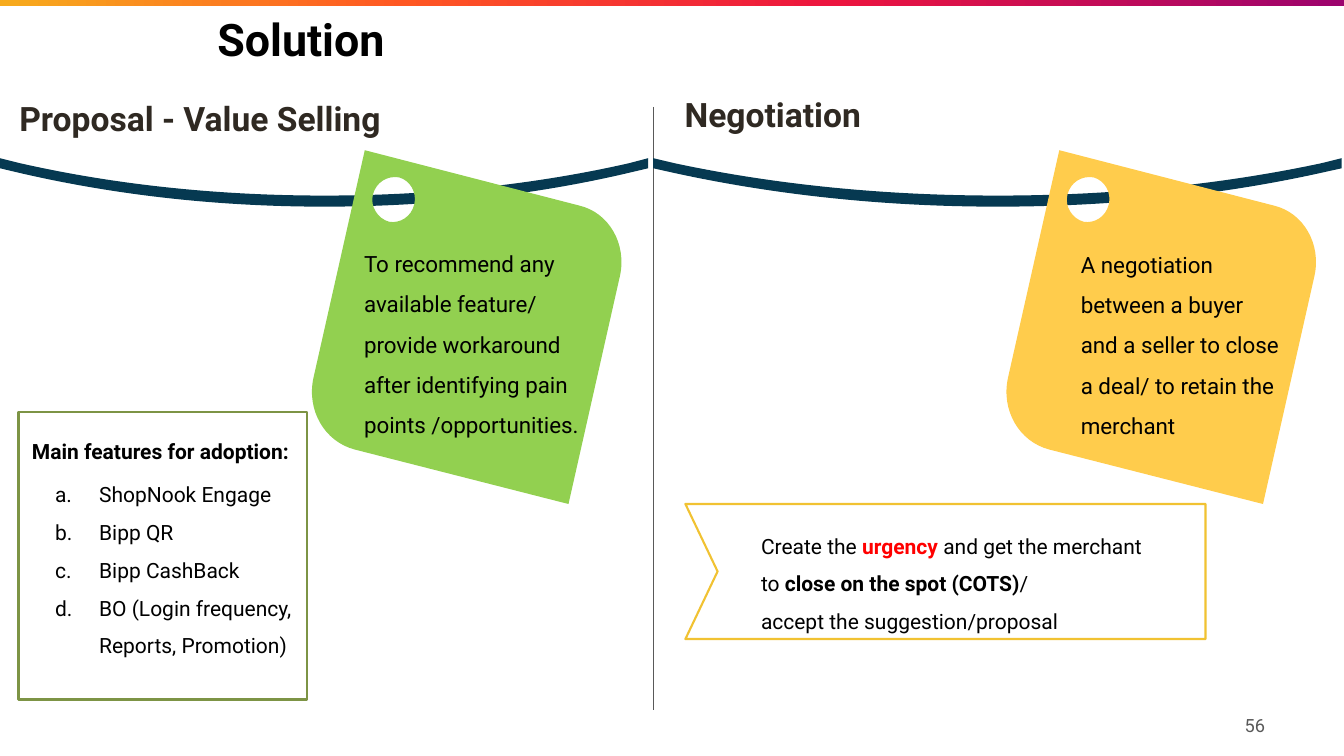
"""Builds the Solution slide on value selling and negotiation."""
from copy import deepcopy
from lxml import etree
from pptx import Presentation
from pptx.dml.color import RGBColor
from pptx.enum import shapes, text
from pptx.oxml.ns import qn
from pptx.util import Pt

BLACK = RGBColor(0, 0, 0)
BROWN = RGBColor(0x2F, 0x29, 0x22)
GRAY = RGBColor(0x59, 0x59, 0x59)
RED = RGBColor(0xFF, 0, 0)
NAVY = RGBColor(0x06, 0x39, 0x51)
GREEN = RGBColor(0x92, 0xD0, 0x50)
OLIVE = RGBColor(0x7D, 0x94, 0x45)
YELLOW = RGBColor(0xFF, 0xCC, 0x4C)
GOLD = RGBColor(0xF1, 0xC2, 0x32)
BAR = [(0, RGBColor(0xF7, 0xAB, 0x1D)), (0.3, RGBColor(0xFF, 0x57, 0x22)),
       (0.62, RGBColor(0xEC, 0x15, 0x3F)), (1, RGBColor(0x9C, 0x03, 0x6D))]
TOP, MID = text.MSO_ANCHOR.TOP, text.MSO_ANCHOR.MIDDLE

ROPE = [(0, 113), (14.4, 116.6), (81.4, 131.8, 154.8, 139.7, 231.8, 139.7),
        (308.9, 139.7, 382.3, 131.8, 449.3, 116.6), (463, 113), (463, 120.2),
        (450.7, 123.1), (383.8, 139, 309.6, 147.6, 231.8, 147.6),
        (154, 147.6, 80, 139, 12.2, 123.1), (0, 120.2)]
TAG = [(260.6, 107.3), (223.9, 270), (218.9, 293, 231.8, 315.4, 253.4, 321.1),
       (406.1, 360), (442.8, 197.3), (448, 174.2, 434.9, 151.9, 414, 146.9)]
HOLE = [(266.4, 139), (268.6, 130.3, 276.5, 125.3, 285.1, 126.7),
        (293, 128.9, 298.1, 137.5, 295.9, 146.2),
        (293.8, 154.8, 285.8, 159.8, 277.9, 158.4),
        (270, 156.2, 264.2, 147.6, 266.4, 139)]
BANNER = [(489.6, 456.5), (861.1, 456.5), (861.1, 360), (489.6, 360), (512.6, 408.2)]

deck = Presentation()
deck.slide_width, deck.slide_height = Pt(960), Pt(540)
slide = deck.slides.add_slide(deck.slide_layouts[5])
items = slide.shapes


def draw(paths, left=0, zoom=1):
    """Draw closed outlines of points and cubic curves as one shape."""
    unit = Pt(1) / 100
    pen, steps = None, []
    for path in paths:
        path = [[round(100 * (v if k % 2 else left + v * zoom)) for k, v in enumerate(step)]
                for step in path]
        steps += path
        if pen is None:
            pen = items.build_freeform(*path[0], scale=unit)
        else:
            pen.move_to(*path[0])
        pen.add_line_segments([step[-2:] for step in path[1:]], close=True)
    shape = pen.convert_to_shape()
    shape.shadow.inherit = False
    x0, y0 = round(shape.left / unit), round(shape.top / unit)
    nodes = [n for n in shape._element.spPr.find(".//" + qn("a:path")) if len(n)]
    for node, step in zip(nodes, steps):
        if len(step) == 6:
            node.tag = qn("a:cubicBezTo")
            for k in (0, 2):
                dot = etree.Element(qn("a:pt"), x=str(step[k] - x0), y=str(step[k + 1] - y0))
                node.insert(k // 2, dot)
    return shape


def write(frame, pad, anchor, size, color, paras, bold=False, gap=1.0):
    """Fill a frame with paragraphs in one style."""
    frame.word_wrap = True
    frame.auto_size = text.MSO_AUTO_SIZE.NONE
    frame.vertical_anchor = anchor
    frame.margin_left = frame.margin_right = Pt(pad[0])
    frame.margin_top = frame.margin_bottom = Pt(pad[1])
    frame.text = "\n".join(paras)
    for par in frame.paragraphs:
        par.alignment = text.PP_ALIGN.LEFT
        par.line_spacing = gap
        for run in par.runs:
            run.font.name, run.font.size = "Roboto", Pt(size)
            run.font.bold, run.font.color.rgb = bold, color


title = items.title
title.left, title.top, title.width, title.height = Pt(153), Pt(0), Pt(609), Pt(55.4)
write(title.text_frame, (2.2, 2.2), MID, 32, BLACK, ["Solution"], bold=True)

bar = items.add_shape(shapes.MSO_SHAPE.RECTANGLE, Pt(0), Pt(0), Pt(960), Pt(4.3))
bar.shadow.inherit = False
bar.line.fill.background()
bar.fill.gradient()
bar.fill.gradient_angle = 0
stops = bar._element.spPr.find(".//" + qn("a:gsLst"))
for _ in range(2):
    stops.append(deepcopy(stops[0]))
for stop, (place, color) in zip(bar.fill.gradient_stops, BAR):
    stop.position, stop.color.rgb = place, color

split = items.add_connector(shapes.MSO_CONNECTOR.STRAIGHT, Pt(466.5), Pt(76.3), Pt(466.5), Pt(506.9))
split.line.color.rgb, split.line.width = GRAY, Pt(0.75)
etree.SubElement(split._element.spPr, qn("a:effectLst"))

for left, width, shift, color in [(0, 463, 0, GREEN), (466.6, 491.8, 496.1, YELLOW)]:
    rope = draw([ROPE], left, width / 463)
    tag = draw([TAG, HOLE], shift)
    for shape, paint in [(rope, NAVY), (tag, color)]:
        shape.fill.solid()
        shape.fill.fore_color.rgb = paint
        shape.line.fill.background()

banner = draw([BANNER])
banner.fill.background()
banner.line.color.rgb, banner.line.width = GOLD, Pt(1.5)

HEAD = dict(pad=(2.2, 2.2), anchor=MID, size=24, color=BROWN, bold=True)
NOTE = dict(pad=(9.4, 5), anchor=TOP, size=16, color=BLACK, gap=1.5)
LABELS = [
    ((-36.4, 69.8, 472.3, 28.8), 48, "Proposal - Value Selling", HEAD),
    ((438.8, 67, 420.5, 28.8), 48, "Negotiation", HEAD),
    ((250.6, 164.2, 173.5, 95), 0, "To recommend any available feature/ provide workaround "
     "after identifying pain points /opportunities.", NOTE),
    ((714.6, 164.7, 211, 67), 48, "A negotiation between a buyer and a seller to close "
     "a deal/ to retain the merchant", NOTE),
]
for place, indent, words, style in LABELS:
    frame = items.add_textbox(*map(Pt, place)).text_frame
    write(frame, paras=[words], **style)
    frame.paragraphs[0]._p.get_or_add_pPr().set("marL", str(Pt(indent)))

frame = items.add_textbox(Pt(534.2), Pt(366.8), Pt(303.1), Pt(82.8)).text_frame
write(frame, (9.4, 5), TOP, 15, BLACK, [""], gap=1.5)
par = frame.paragraphs[0]
for words, bold, color in [("Create the ", False, BLACK), ("urgency", True, RED),
                           (" and get the merchant to ", False, BLACK),
                           ("close on the spot (COTS)", True, BLACK), ("/", False, BLACK),
                           ("accept the suggestion/proposal", False, BLACK)]:
    run = par.add_run()
    run.text = words
    run.font.name, run.font.size = "Roboto", Pt(15)
    run.font.bold, run.font.color.rgb = bold, color
    if words == "/":
        par.add_line_break()

card = items.add_shape(shapes.MSO_SHAPE.RECTANGLE, Pt(13.2), Pt(294.5), Pt(206), Pt(205.2))
card.shadow.inherit = False
card.fill.background()
card.line.color.rgb, card.line.width = OLIVE, Pt(1.5)
write(card.text_frame, (9.6, 9.6), TOP, 15, BLACK,
      ["Main features for adoption:", "ShopNook Engage", "Bipp QR", "Bipp CashBack",
       "BO (Login frequency, Reports, Promotion)"], gap=1.5)
lead, *rows = card.text_frame.paragraphs
lead.runs[0].font.bold = True
rows[0].space_before = Pt(4)
for row in rows:
    props = row._p.get_or_add_pPr()
    props.set("marL", str(Pt(48)))
    props.set("indent", str(Pt(-31.5)))
    tint = etree.SubElement(props, qn("a:buClr"))
    etree.SubElement(tint, qn("a:srgbClr"), val=str(BLACK))
    etree.SubElement(props, qn("a:buAutoNum"), type="alphaLcPeriod")

frame = items.add_textbox(Pt(855.4), Pt(497.5), Pt(57.6), Pt(41)).text_frame
write(frame, (9.4, 9.4), MID, 13, GRAY, ["56"])
frame.paragraphs[0].alignment = text.PP_ALIGN.RIGHT

deck.save("out.pptx")
